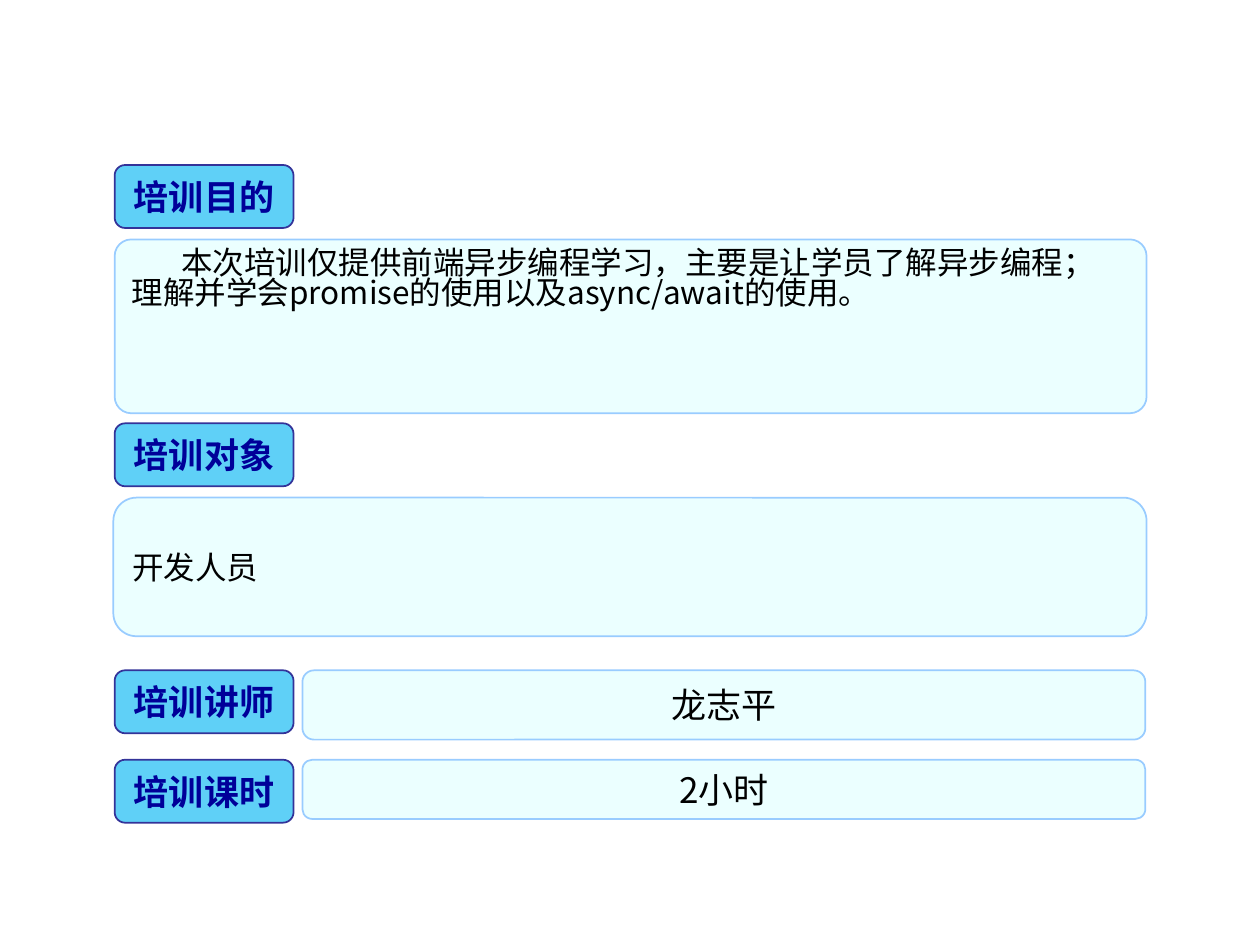
from dataclasses import dataclass

from lxml import etree
from pptx import Presentation
from pptx.dml.color import RGBColor
from pptx.enum.shapes import MSO_SHAPE
from pptx.enum.text import MSO_ANCHOR, PP_ALIGN
from pptx.oxml.ns import qn
from pptx.util import Inches, Pt

ROUND = MSO_SHAPE.ROUNDED_RECTANGLE
TOP, MIDDLE = MSO_ANCHOR.TOP, MSO_ANCHOR.MIDDLE
LEFT, CENTER = PP_ALIGN.LEFT, PP_ALIGN.CENTER
FONT = "Noto Sans CJK SC"


@dataclass(frozen=True)
class Style:
    fill: str
    alpha: int
    line: str


@dataclass(frozen=True)
class Panel:
    left: float
    top: float
    width: float
    height: float
    lines: tuple[str, ...]
    size: int = 20
    align: PP_ALIGN = CENTER
    anchor: MSO_ANCHOR = MIDDLE
    corner: float = 0.167
    indent: float = 0
    spacing: float = 1.0


TAG = Style("32C3F6", 78, "333399")
BODY = Style("CCFFFF", 39, "99CCFF")

TAGS = (
    (1.31, "培训目的"),
    (3.36, "培训对象"),
    (5.32, "培训讲师"),
    (6.03, "培训课时"),
)

PANELS = (
    Panel(0.91, 1.9, 8.19, 1.38,
          ("本次培训仅提供前端异步编程学习，主要是让学员了解异步编程；",
           "理解并学会promise的使用以及async/await的使用。"),
          size=18, align=LEFT, anchor=TOP, corner=0.096, indent=0.39, spacing=0.8),
    Panel(0.9, 3.95, 8.2, 1.1, ("开发人员",), size=18, align=LEFT),
    Panel(2.4, 5.32, 6.69, 0.55, ("龙志平",)),
    Panel(2.4, 6.03, 6.69, 0.47, ("2小时",)),
)


def paint(target, color: str) -> None:
    target.rgb = RGBColor.from_string(color)


def write(para, text: str, *, size: int, color: str, bold: bool = False,
          align: PP_ALIGN = LEFT, indent: float = 0, spacing: float = 1.0) -> None:
    para.alignment = align
    para.line_spacing = spacing
    if indent:
        para._p.get_or_add_pPr().set("indent", str(Inches(indent)))
    run = para.add_run()
    run.text = text
    font = run.font
    font.name, font.size, font.bold = FONT, Pt(size), bold
    paint(font.color, color)
    east = etree.SubElement(run._r.get_or_add_rPr(), qn("a:ea"))
    east.set("typeface", FONT)


def draw(slide, panel: Panel, style: Style, color: str, bold: bool = False) -> None:
    box = slide.shapes.add_shape(
        ROUND, Inches(panel.left), Inches(panel.top),
        Inches(panel.width), Inches(panel.height))
    box.adjustments[0] = panel.corner
    box.shadow.inherit = False
    box.fill.solid()
    paint(box.fill.fore_color, style.fill)
    tone = box._element.spPr.find(qn("a:solidFill"))[0]
    etree.SubElement(tone, qn("a:alpha")).set("val", str(style.alpha * 1000))
    paint(box.line.color, style.line)
    box.line.width = Pt(1)
    frame = box.text_frame
    frame.word_wrap = True
    frame.vertical_anchor = panel.anchor
    for row, text in enumerate(panel.lines):
        para = frame.add_paragraph() if row else frame.paragraphs[0]
        write(para, text, size=panel.size, color=color, bold=bold, align=panel.align,
              indent=0 if row else panel.indent, spacing=panel.spacing)


def main() -> None:
    deck = Presentation()
    deck.slide_width, deck.slide_height = Inches(10), Inches(7.5)
    slide = deck.slides.add_slide(deck.slide_layouts[6])
    for panel in PANELS:
        draw(slide, panel, BODY, "000000")
    for top, text in TAGS:
        draw(slide, Panel(0.91, top, 1.42, 0.5, (text,)), TAG, "000099", bold=True)
    deck.save("out.pptx")


if __name__ == "__main__":
    main()
